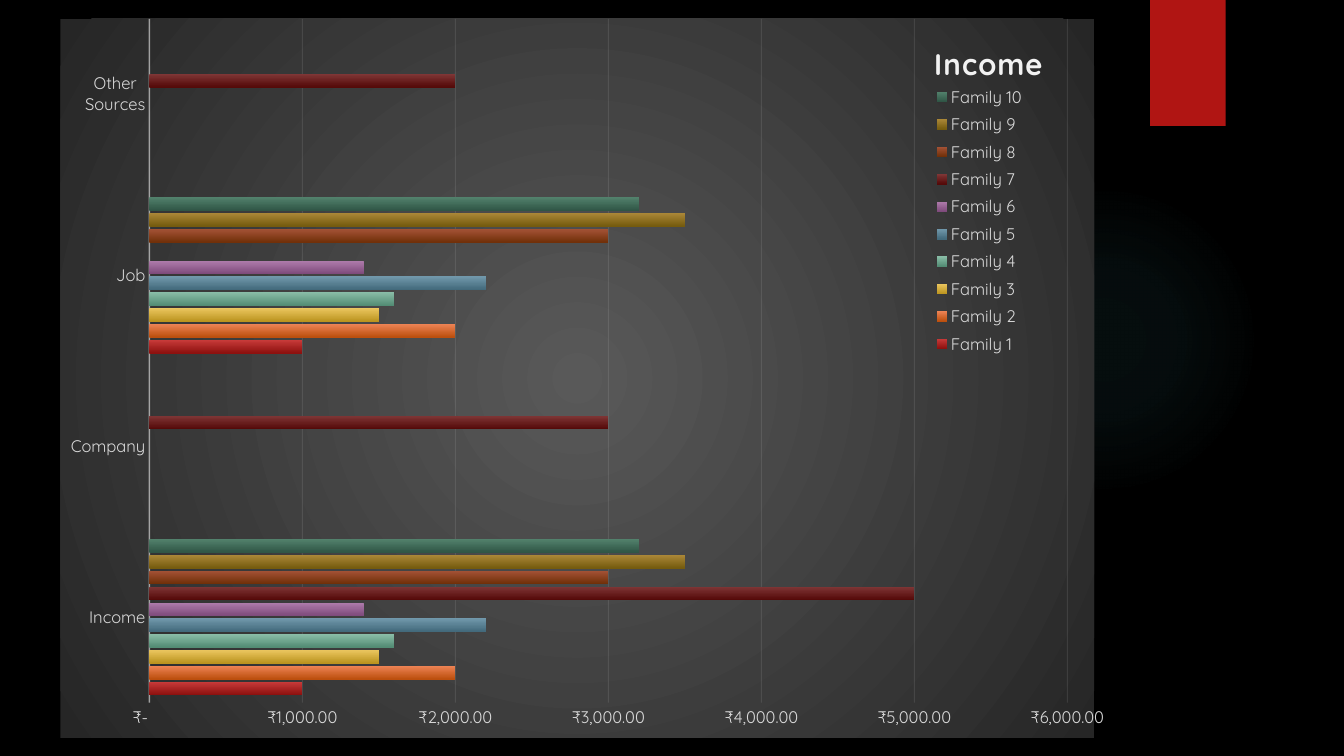
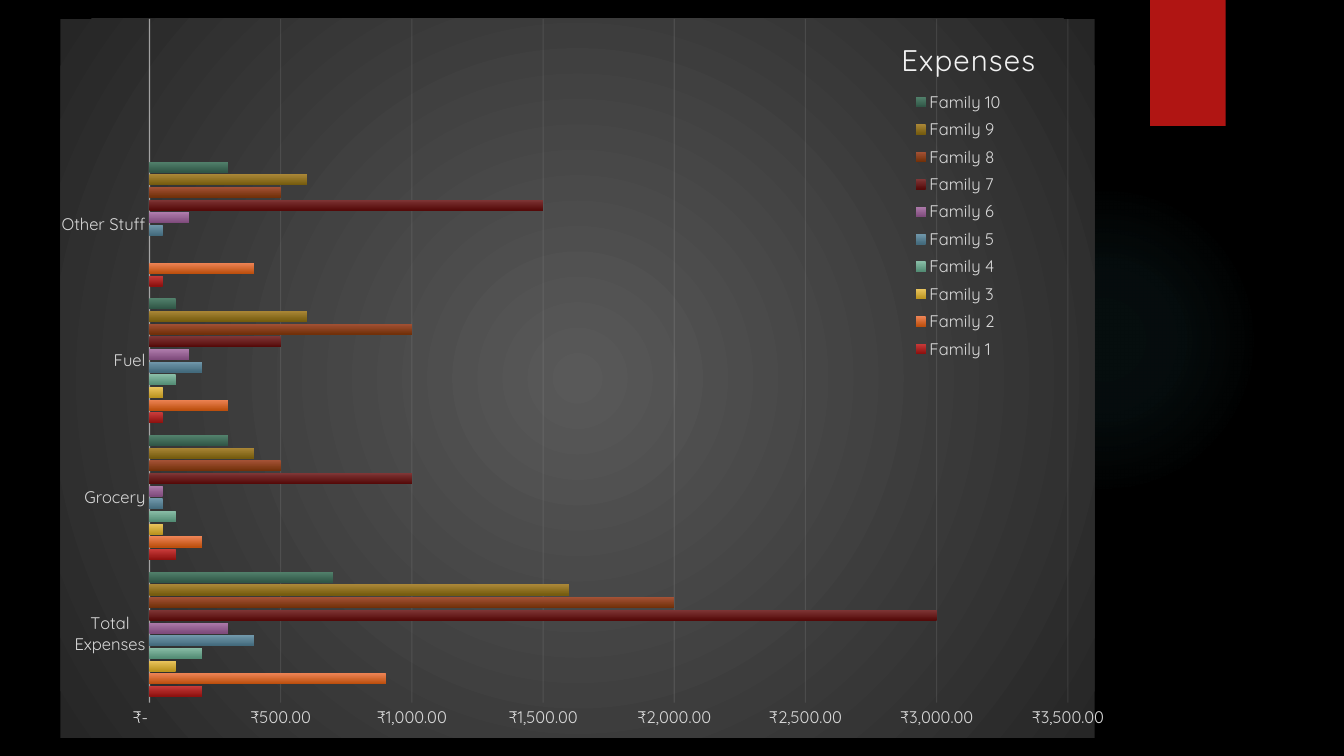
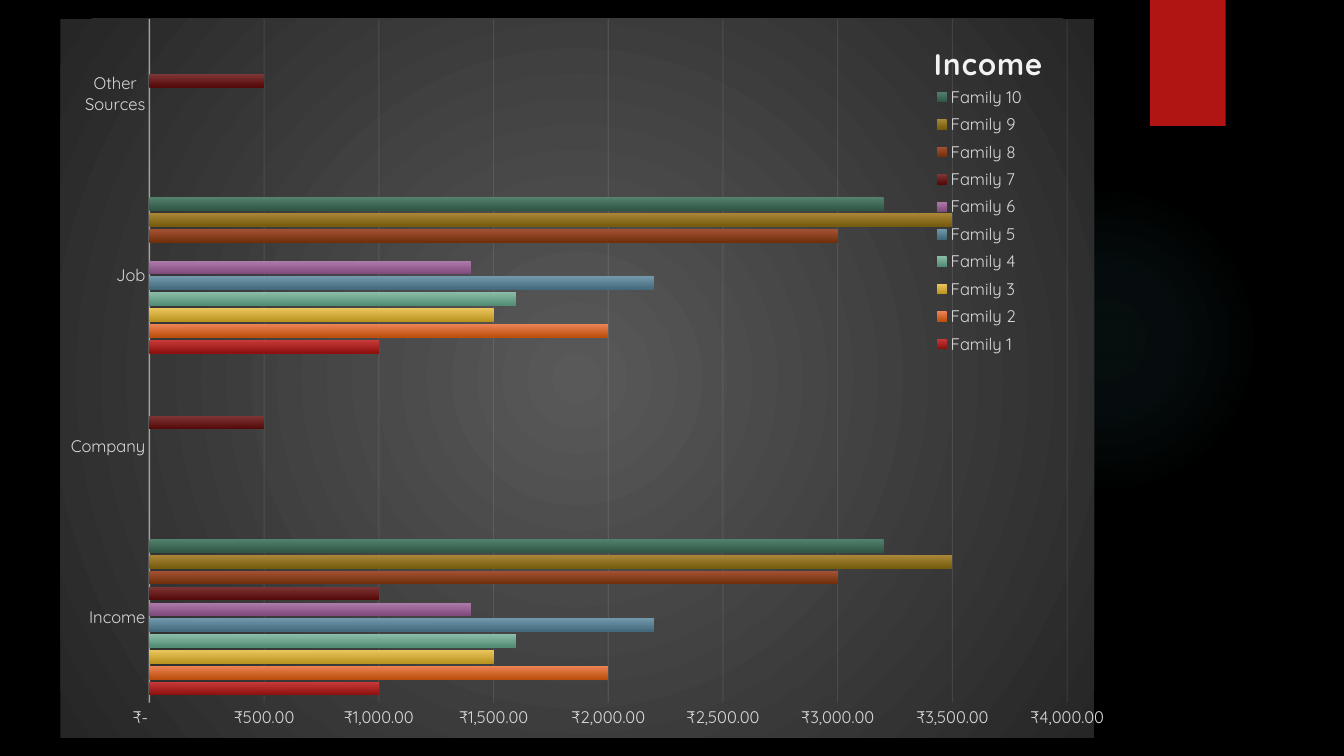
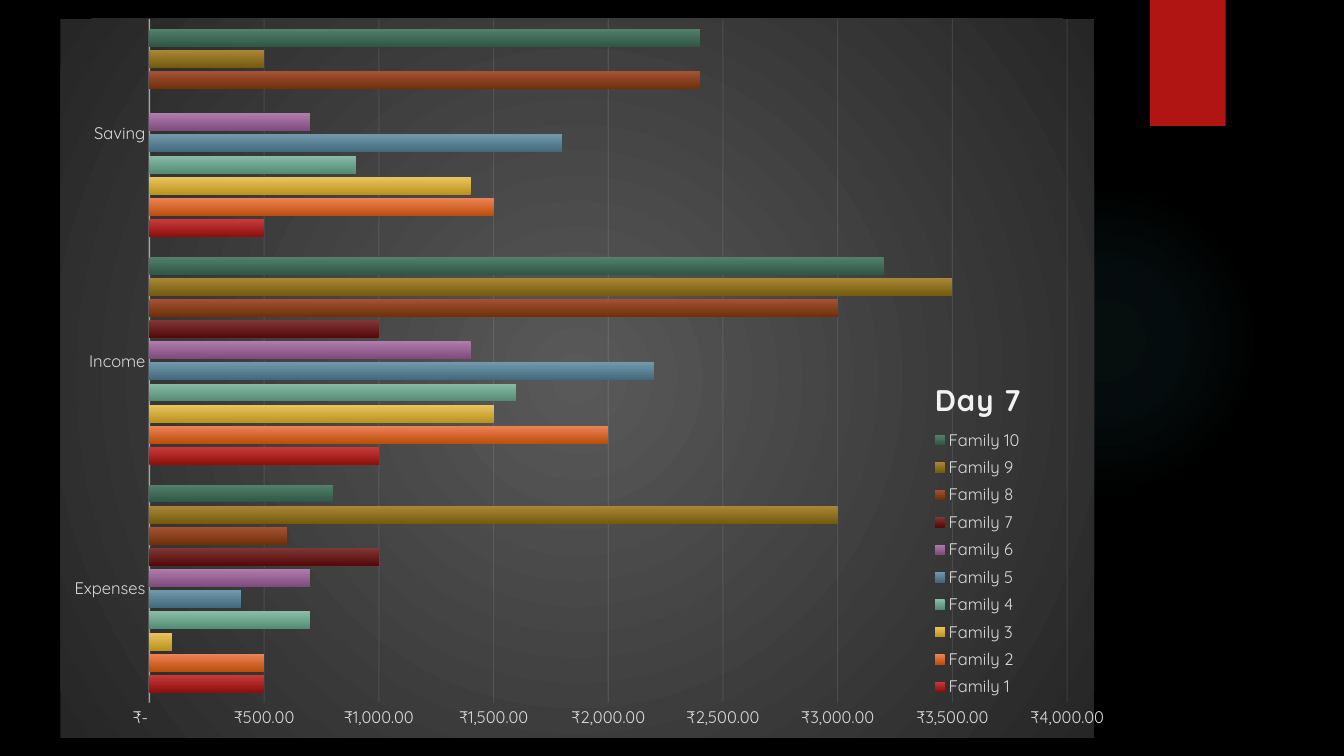
from lxml.etree import SubElement
from pptx import Presentation
from pptx.chart.data import CategoryChartData
from pptx.dml.color import RGBColor
from pptx.enum.chart import XL_CHART_TYPE, XL_LEGEND_POSITION, XL_TICK_MARK
from pptx.enum.shapes import MSO_SHAPE
from pptx.oxml import parse_xml
from pptx.oxml.ns import nsdecls, qn
from pptx.util import Inches, Pt

FONT = "Quicksand"
COLORS = {
    "background": "000000",
    "glow": "50B9C1",
    "band": "B01513",
    "panel center": "595959",
    "panel edge": "262626",
    "label": "D9D9D9",
    "line": "F2F2F2",
    "text": "FFFFFF",
}
# Top and bottom colour of the bars of each family
FAMILIES = {
    "Family 1": ("C93B3A", "8D110F"),
    "Family 2": ("EE8455", "BC4F0E"),
    "Family 3": ("EBC65F", "BB941F"),
    "Family 4": ("89BDA7", "538C74"),
    "Family 5": ("7198AB", "436A7C"),
    "Family 6": ("AF7CAC", "7F4B7C"),
    "Family 7": ("7F3636", "550A09"),
    "Family 8": ("A45236", "713009"),
    "Family 9": ("AA8737", "755B0E"),
    "Family 10": ("52816C", "305646"),
}
CHART_BOX = (0.6, 0.18, 10.4, 7.14)
PLOT_AREA = (0.086, 0, 0.888, 0.951)
LEGEND_SIZE = (0.1, 0.391)
RUPEES = '_("₹"* #,##0.00_);_("₹"* \\(#,##0.00\\);_("₹"* "-"??_);_(@_)'


def income_values(company, other):
    """Income by source: only family 7 earns outside a job."""
    jobs = [1000, 2000, 1500, 1600, 2200, 1400, 0, 3000, 3500, 3200]
    rows = [(job, 0, job, 0) for job in jobs]
    rows[6] = (company + other, company, 0, other)
    return rows


INCOME_CATEGORIES = ["Income", "Company", "Job", "Other Sources\n"]
INCOME_PLACES = {"title_at": (0.84, 0.026), "legend_at": (0.839, 0.085)}
SLIDES = [
    {"title": "Income", "categories": INCOME_CATEGORIES,
     "values": income_values(3000, 2000), **INCOME_PLACES},
    {"title": "Expenses", "bold": False,
     "title_at": (0.808, 0.02), "legend_at": (0.818, 0.092),
     "categories": ["Total Expenses", "Grocery", "Fuel", "Other Stuff", ""],
     "values": [
         (200, 100, 50, 50, None),
         (900, 200, 300, 400, None),
         (100, 50, 50, 0, None),
         (200, 100, 100, 0, None),
         (400, 50, 200, 50, None),
         (300, 50, 150, 150, None),
         (3000, 1000, 500, 1500, None),
         (2000, 500, 1000, 500, None),
         (1600, 400, 600, 600, None),
         (700, 300, 100, 300, None),
     ]},
    {"title": "Income", "categories": INCOME_CATEGORIES,
     "values": income_values(500, 500), **INCOME_PLACES},
    {"title": "Day 7", "title_at": (0.841, 0.493), "legend_at": (0.837, 0.562),
     "categories": ["Expenses", "Income", "Saving"],
     "values": [
         (500, 1000, 500),
         (500, 2000, 1500),
         (100, 1500, 1400),
         (700, 1600, 900),
         (400, 2200, 1800),
         (700, 1400, 700),
         (1000, 1000, 0),
         (600, 3000, 2400),
         (3000, 3500, 500),
         (800, 3200, 2400),
     ]},
]


def rgb(name):
    return RGBColor.from_string(COLORS[name])


def style_font(font, size, color):
    font.name = FONT
    font.size = Pt(size)
    font.color.rgb = rgb(color)


def radial_fill(stops):
    """Circular gradient from (position %, colour name, opacity %) stops."""
    stop_xml = "".join(
        f'<a:gs pos="{position * 1000}"><a:srgbClr val="{COLORS[color]}">'
        f'<a:alpha val="{opacity * 1000}"/></a:srgbClr></a:gs>'
        for position, color, opacity in stops
    )
    return (
        f'<a:gradFill {nsdecls("a")} rotWithShape="1"><a:gsLst>{stop_xml}</a:gsLst>'
        '<a:path path="circle"><a:fillToRect l="50000" t="50000" r="50000" b="50000"/>'
        "</a:path></a:gradFill>"
    )


def set_opacity(parent, percent):
    """Make the lines inside a chart element partly transparent."""
    for properties in parent.iter(qn("c:spPr")):
        for color in properties.iter(qn("a:srgbClr")):
            SubElement(color, qn("a:alpha")).set("val", str(percent * 1000))


def set_layout(element, index, values, inner=False):
    """Place a chart part by fractions of the chart: x, y and maybe w, h."""
    for layout in element.findall(qn("c:layout")):
        element.remove(layout)
    target = '<c:layoutTarget val="inner"/>' if inner else ""
    modes = '<c:xMode val="edge"/><c:yMode val="edge"/>'
    sizes = "".join(f'<c:{key} val="{value}"/>' for key, value in zip("xywh", values))
    element.insert(index, parse_xml(
        f'<c:layout {nsdecls("c")}><c:manualLayout>{target}{modes}{sizes}'
        "</c:manualLayout></c:layout>"
    ))


def decorate_master(master, slide):
    """Black background, faint glow and red band, shared by all slides."""
    master.background.fill.solid()
    master.background.fill.fore_color.rgb = rgb("background")

    glow = slide.shapes.add_shape(
        MSO_SHAPE.OVAL, Inches(9.41), Inches(1.83), Inches(3.08), Inches(3.08))
    glow.shadow.inherit = False
    glow.fill.background()
    glow_properties = glow.element.spPr
    glow_properties.replace(
        glow_properties.find(qn("a:noFill")),
        parse_xml(radial_fill([(0, "glow", 7), (36, "glow", 6), (69, "glow", 0)])))

    band = slide.shapes.add_shape(
        MSO_SHAPE.RECTANGLE, Inches(11.41), 0, Inches(0.75), Inches(1.25))
    band.shadow.inherit = False
    band.fill.solid()
    band.fill.fore_color.rgb = rgb("band")
    band.element.spPr.find(qn("a:effectLst")).append(parse_xml(
        f'<a:outerShdw {nsdecls("a")} blurRad="{Pt(3)}" dist="{Pt(2)}" dir="5400000">'
        '<a:srgbClr val="000000"><a:alpha val="45000"/></a:srgbClr></a:outerShdw>'))

    # Shapes can only be added to a slide, so move them to the master
    for number, shape in enumerate((glow, band)):
        shape.line.fill.background()
        next(shape.element.iter(qn("p:cNvPr"))).set("id", str(100 + number))
        master.shapes.element.insert(2 + number, shape.element)


def style_axes(chart):
    category_axis, value_axis = chart.category_axis, chart.value_axis
    for axis in (category_axis, value_axis):
        axis.major_tick_mark = axis.minor_tick_mark = XL_TICK_MARK.NONE
        style_font(axis.tick_labels.font, 12, "label")
    category_axis.has_major_gridlines = False
    value_axis.has_major_gridlines = True
    value_axis.format.line.fill.background()
    value_axis.tick_labels.number_format = RUPEES
    value_axis.tick_labels.number_format_is_linked = False

    gridlines = value_axis.major_gridlines
    for part, width in ((category_axis, 1), (gridlines, 0.75)):
        part.format.line.width = Pt(width)
        part.format.line.color.rgb = rgb("line")
    for tag, opacity in (("c:catAx", 54), ("c:valAx", 10)):
        set_opacity(next(chart.element.iter(qn(tag))), opacity)


def style_title(chart, title, position, bold):
    chart.has_title = True
    chart_title = chart.chart_title
    chart_title.text_frame.text = title
    font = chart_title.text_frame.paragraphs[0].runs[0].font
    style_font(font, 21.3, "line")
    font.bold = bold
    for properties in chart_title.element.iter(qn("a:rPr")):
        properties.set("spc", "100")
    set_layout(next(chart.element.iter(qn("c:title"))), 1, position)


def style_legend(chart, position):
    chart.has_legend = True
    chart.legend.position = XL_LEGEND_POSITION.CORNER
    chart.legend.include_in_layout = True
    style_font(chart.legend.font, 12, "label")
    set_layout(next(chart.element.iter(qn("c:legend"))), 1, position + LEGEND_SIZE)


def add_family_chart(slide, box, title, categories, values, title_at, legend_at,
                     bold=True):
    data = CategoryChartData()
    data.categories = categories
    for family, row in zip(FAMILIES, values):
        data.add_series(family, row)
    chart = slide.shapes.add_chart(
        XL_CHART_TYPE.BAR_CLUSTERED, *(Inches(length) for length in box), data).chart
    style_font(chart.font, 10, "text")

    # An unnamed category keeps its room but has no label
    for point in list(chart.element.iter(qn("c:pt"))):
        if not point.findtext(qn("c:v")):
            point.getparent().remove(point)

    # Panel behind the chart
    panel = radial_fill([(0, "panel center", 100), (100, "panel edge", 100)])
    chart.element.find(qn("c:chart")).addnext(parse_xml(
        f'<c:spPr {nsdecls("c", "a")}>{panel}<a:ln><a:noFill/></a:ln></c:spPr>'))

    # Bars
    plot = chart.plots[0]
    plot.gap_width = 115
    plot.overlap = -20
    plot.vary_by_categories = False
    for series, shades in zip(plot.series, FAMILIES.values()):
        fill = series.format.fill
        fill.gradient()
        fill.gradient_angle = 270
        for stop, shade in zip(fill.gradient_stops, shades):
            stop.color.rgb = RGBColor.from_string(shade)

    style_axes(chart)
    style_title(chart, title, title_at, bold)
    style_legend(chart, legend_at)
    set_layout(next(chart.element.iter(qn("c:plotArea"))), 0, PLOT_AREA, inner=True)


def main():
    presentation = Presentation()
    presentation.slide_width = Inches(40 / 3)
    presentation.slide_height = Inches(7.5)
    blank_layout = presentation.slide_layouts[6]
    for number, content in enumerate(SLIDES):
        slide = presentation.slides.add_slide(blank_layout)
        if number == 0:
            decorate_master(presentation.slide_master, slide)
        add_family_chart(slide, CHART_BOX, **content)
    presentation.save("out.pptx")


if __name__ == "__main__":
    main()
